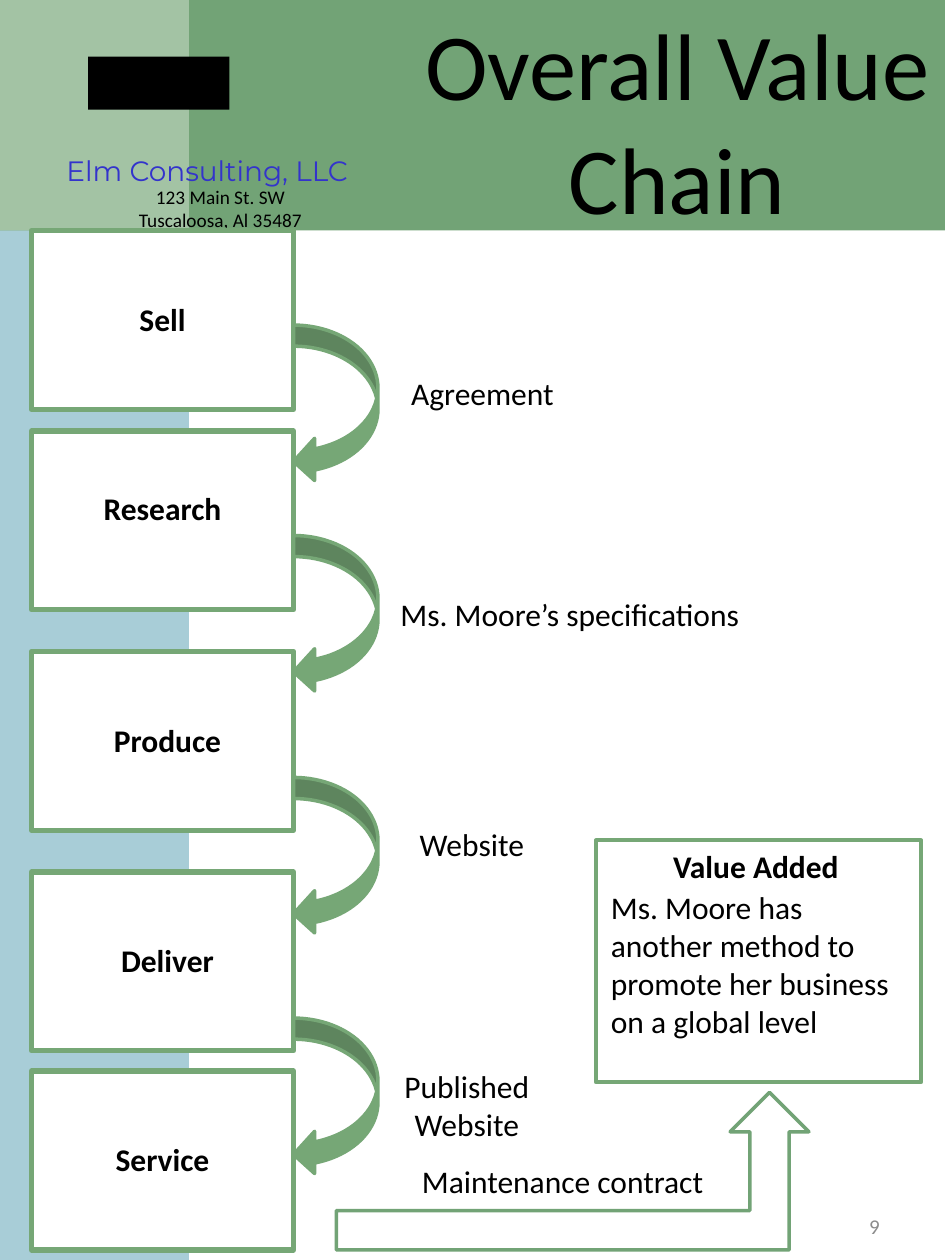
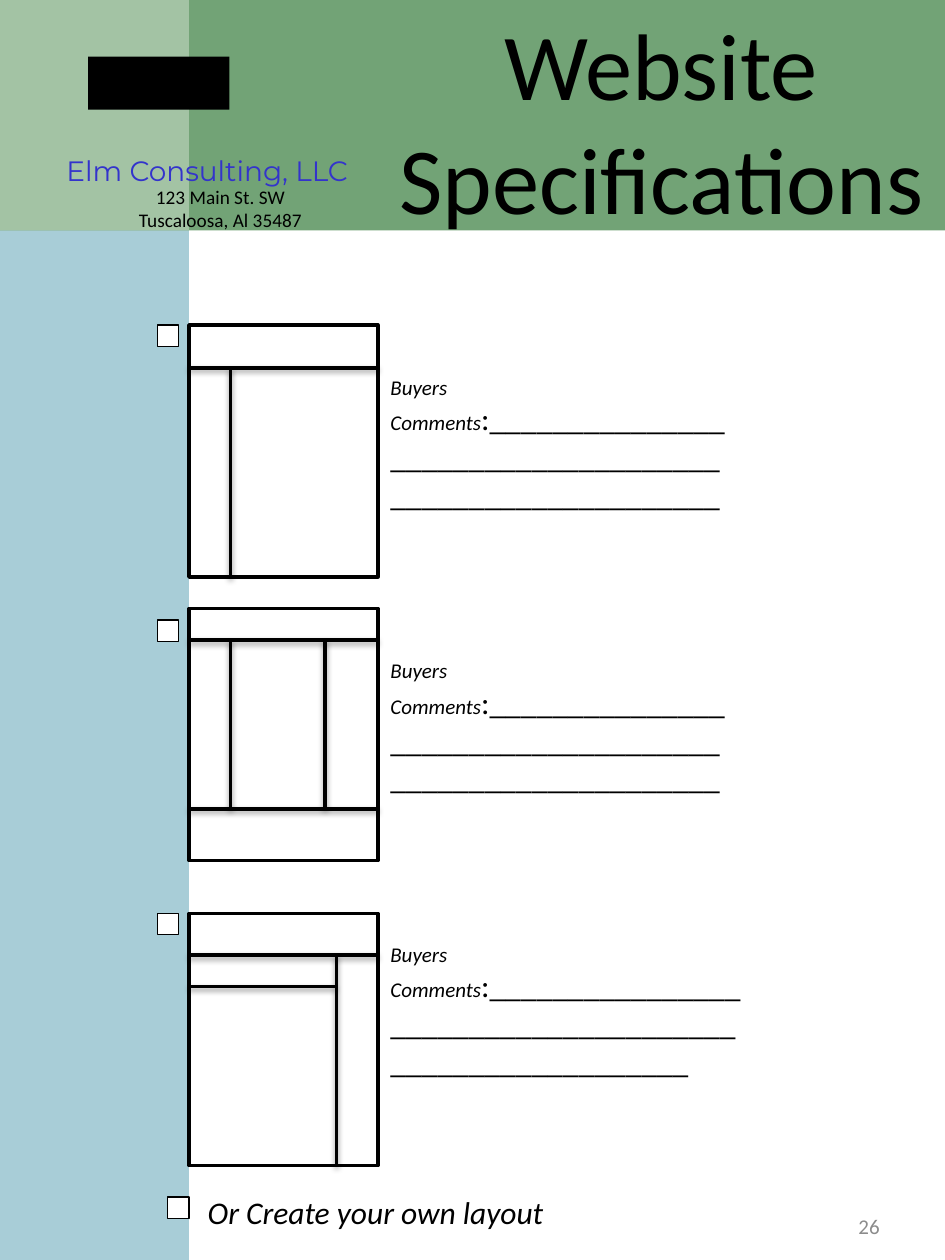
import pptx
import pptx.dml.color
import pptx.enum.shapes
import pptx.enum.text
import pptx.oxml
import pptx.oxml.ns
import pptx.util
from pptx.util import Inches

GREEN, LINE_GREEN, PALE_GREEN = "72A376", "76A776", "B0CCB0"
BLUE, WHITE, BLACK, GREY, LINK_BLUE = "A8CDD7", "FFFFFF", "000000", "8C8C8C", "3333CC"
SHAPE = pptx.enum.shapes.MSO_SHAPE
ALIGN = pptx.enum.text.PP_ALIGN
ANCHOR = pptx.enum.text.MSO_ANCHOR
color = pptx.dml.color.RGBColor.from_string


def add_box(slide, kind, left, top, width, height, fill, line=None, weight=0.75):
    shape = slide.shapes.add_shape(kind, Inches(left), Inches(top), Inches(width), Inches(height))
    shape.shadow.inherit = False
    shape.fill.solid()
    shape.fill.fore_color.rgb = color(fill)
    if line:
        shape.line.color.rgb = color(line)
        shape.line.width = pptx.util.Pt(weight)
    else:
        shape.line.fill.background()
    return shape


def add_text(slide, text, left, top, width, height, size=18, align=ALIGN.LEFT, hue=BLACK,
             bold=False, italic=False, font="Calibri", wrap=True, shape=None):
    """Place and format text, in a new text box unless a shape is given."""
    if shape is None:
        shape = slide.shapes.add_textbox(0, 0, 0, 0)
    shape.left, shape.top = Inches(left), Inches(top)
    shape.width, shape.height = Inches(width), Inches(height)
    frame = shape.text_frame
    frame.text = text
    frame.word_wrap = wrap
    frame.auto_size = pptx.enum.text.MSO_AUTO_SIZE.NONE
    frame.vertical_anchor = ANCHOR.TOP
    for paragraph in frame.paragraphs:
        paragraph.alignment = align
        for run in paragraph.runs:
            run.font.name = font
            run.font.size = pptx.util.Pt(size)
            run.font.bold, run.font.italic = bold, italic
            run.font.color.rgb = color(hue)
    return shape


presentation = pptx.Presentation()
presentation.slide_width, presentation.slide_height = Inches(7.5), Inches(10)

# Bands, letterhead, title and page number shared by both slides
slides = []
for title, title_left, number in [("Overall Value Chain", 3.25, "9"),
                                  ("Website Specifications", 3, "26")]:
    slide = presentation.slides.add_slide(presentation.slide_layouts[5])
    slides.append(slide)
    add_box(slide, SHAPE.RECTANGLE, 0, 0.67, 1.5, 9.33, BLUE)
    add_box(slide, SHAPE.RECTANGLE, 0, 0, 7.5, 1.83, GREEN)
    corner = add_box(slide, SHAPE.RECTANGLE, 0, 0, 1.5, 1.83, PALE_GREEN)
    corner_color = corner.fill._xPr.find(".//" + pptx.oxml.ns.qn("a:srgbClr"))
    corner_color.append(pptx.oxml.parse_xml(
        f'<a:alpha {pptx.oxml.ns.nsdecls("a")} val="80000"/>'))
    add_box(slide, SHAPE.RECTANGLE, 0.7, 0.45, 1.12, 0.42, BLACK)
    add_text(slide, "Elm Consulting, LLC", 0.42, 1.17, 2.45, 0.31, 16, ALIGN.CENTER, LINK_BLUE,
             font="Montserrat", wrap=False)
    add_text(slide, "123 Main St. SW\nTuscaloosa, Al 35487", 0, 1.42, 3.5, 0.47, 11, ALIGN.CENTER)
    heading = slide.shapes.title
    add_text(slide, title, title_left, 0, 7.5 - title_left, 1.92, 54, ALIGN.CENTER, shape=heading)
    slide.shapes._spTree.append(heading._element)  # bring the title in front of the bands
    page = add_text(slide, number, 5.33, 9.47, 1.75, 0.53, 12, ALIGN.RIGHT, GREY)
    page.text_frame.vertical_anchor = ANCHOR.MIDDLE

# Slide 1: value chain
chain, specifications = slides
steps = [("Sell", 1.83, 2.33, 0.33, 1.92), ("Research", 3.42, 3.83, 0.33, 1.92),
         ("Produce", 5.17, 5.67, 0.33, 2), ("Deliver", 6.92, 7.42, 0.33, 2),
         ("Service", 8.5, 9, 0.25, 2.08)]
for name, top, label_top, label_left, label_width in steps:
    add_box(chain, SHAPE.RECTANGLE, 0.25, top, 2.08, 1.42, WHITE, LINE_GREEN, 3)
    add_text(chain, name, label_left, label_top, label_width, 0.4, align=ALIGN.CENTER, bold=True)
for arrow_top in (2.58, 4.25, 6.17, 8.08):
    add_box(chain, SHAPE.CURVED_LEFT_ARROW, 2.33, arrow_top, 0.67, 1.25, LINE_GREEN, LINE_GREEN, 2)
add_box(chain, SHAPE.BENT_UP_ARROW, 2.67, 8.67, 3.75, 1.25, WHITE, GREEN, 2)
add_box(chain, SHAPE.RECTANGLE, 4.73, 6.67, 2.58, 1.92, WHITE, LINE_GREEN, 2.25)
add_text(chain, "Value Added", 4.75, 6.67, 2.5, 0.4, align=ALIGN.CENTER, bold=True)
add_text(chain, "Ms. Moore has another method to promote her business on a global level",
         4.75, 7, 2.5, 1.31)

for output, left, top, width, height, align in [
        ("Agreement", 3.08, 2.92, 1.5, 0.4, ALIGN.CENTER),
        ("Ms. Moore’s specifications", 3.08, 4.67, 3.33, 0.4, ALIGN.LEFT),
        ("Website", 3.08, 6.5, 1.33, 0.4, ALIGN.CENTER),
        ("Published Website", 3.08, 8.42, 1.25, 0.71, ALIGN.CENTER),
        ("Maintenance contract", 3.25, 9.17, 2.67, 0.4, ALIGN.LEFT)]:
    add_text(chain, output, left, top, width, height, align=align)

# Slide 2: page layouts with a checkbox, dividers (x1, y1, x2, y2) and a comment field
layouts = [
    (2.58, 2.58, 2.92, 2.92, [(1.5, 2.92, 3, 2.92), (1.83, 4.58, 1.83, 2.92)]),
    (4.83, 4.92, 5.17, 2.92, [(1.5, 5.08, 3, 5.08), (1.5, 6.42, 3, 6.42),
                              (1.83, 6.42, 1.83, 5.08), (2.58, 6.42, 2.58, 5.08)]),
    (7.25, 7.25, 7.42, 3, [(1.5, 7.58, 3, 7.58), (1.5, 7.83, 2.67, 7.83),
                           (2.67, 9.25, 2.67, 7.58)]),
]
for top, checkbox_top, comment_top, comment_width, dividers in layouts:
    add_box(specifications, SHAPE.RECTANGLE, 1.25, checkbox_top, 0.17, 0.17, WHITE, BLACK)
    add_box(specifications, SHAPE.RECTANGLE, 1.5, top, 1.5, 2, WHITE, BLACK, 2)
    for divider in dividers:
        # The dividers keep the soft shadow of the theme
        connector = specifications.shapes.add_connector(
            pptx.enum.shapes.MSO_CONNECTOR.STRAIGHT, *map(Inches, divider))
        connector.line.color.rgb = color(BLACK)
        connector.line.width = pptx.util.Pt(2)
    comment = add_text(specifications, "Buyers Comments", 3, comment_top, comment_width, 1.21,
                       12, italic=True)
    blank = comment.text_frame.paragraphs[0].add_run()
    blank.text = ":" + "_" * 57
    blank.font.name = "Calibri"
    blank.font.size = pptx.util.Pt(18)
    blank.font.color.rgb = color(BLACK)

add_box(specifications, SHAPE.RECTANGLE, 1.33, 9.5, 0.17, 0.17, WHITE, BLACK)
add_text(specifications, "Or Create your own layout", 1.55, 9.42, 4.7, 0.4, italic=True)

presentation.save("out.pptx")
